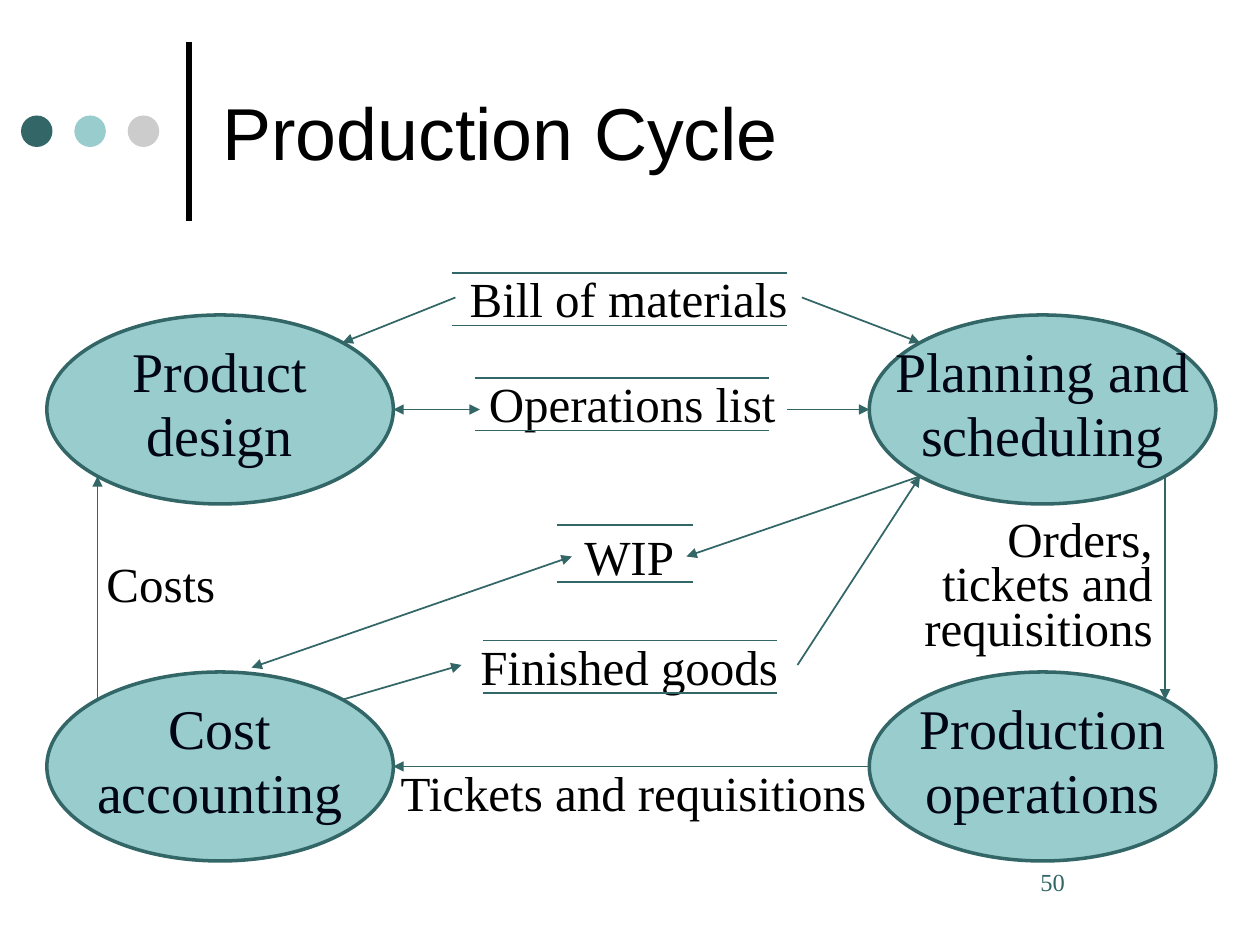
from math import sqrt

from lxml import etree
from pptx import Presentation
from pptx import util as u
from pptx.dml import color
from pptx.enum import shapes, text
from pptx.oxml import ns

DARK, LIGHT, GREY, BLACK, INK = "336666", "99CCCC", "CCCCCC", "000000", "000514"
SERIF, SANS = "Times New Roman", "Arial"
LEFT, CENTER, RIGHT = text.PP_ALIGN.LEFT, text.PP_ALIGN.CENTER, text.PP_ALIGN.RIGHT
MIDDLE, TOP = text.MSO_ANCHOR.MIDDLE, text.MSO_ANCHOR.TOP


def paint(color_format, hex_value):
    """Set a colour from a hex string."""
    color_format.rgb = color.RGBColor.from_string(hex_value)


def write(shape, words, size, hex_value=BLACK, font=SERIF, align=LEFT,
          anchor=TOP, wrap=True, spacing=None, before=None):
    """Fill a shape with text and format every run."""
    frame = shape.text_frame
    frame.text = words
    frame.word_wrap = wrap
    frame.vertical_anchor = anchor
    for paragraph in frame.paragraphs:
        paragraph.alignment = align
        if spacing:
            paragraph.line_spacing = spacing
        if before:
            paragraph.space_before = u.Pt(before)
        for run in paragraph.runs:
            run.font.size = u.Pt(size)
            run.font.name = font
            paint(run.font.color, hex_value)


def add_text(slide, box, words, size, **style):
    """Add a text box at the given box."""
    shape = slide.shapes.add_textbox(*map(u.Pt, box))
    write(shape, words, size, **style)
    return shape


def add_oval(slide, box, fill, line=None):
    """Add an ellipse, outlined when a line colour is given."""
    shape = slide.shapes.add_shape(shapes.MSO_SHAPE.OVAL, *map(u.Pt, box))
    shape.shadow.inherit = False
    shape.fill.solid()
    paint(shape.fill.fore_color, fill)
    if line:
        paint(shape.line.color, line)
        shape.line.width = u.Pt(2)
    else:
        shape.line.fill.background()
    return shape


def add_line(slide, start, end, hex_value=DARK, width=1, arrows=()):
    """Draw a straight line; arrows may hold 'headEnd' and 'tailEnd'."""
    line = slide.shapes.add_connector(
        shapes.MSO_CONNECTOR.STRAIGHT, *map(u.Pt, (*start, *end)))
    paint(line.line.color, hex_value)
    line.line.width = u.Pt(width)
    outline = line.line._get_or_add_ln()
    for arrow in arrows:
        etree.SubElement(outline, ns.qn("a:" + arrow), type="triangle")
    etree.SubElement(line._element.spPr, ns.qn("a:effectLst"))


def add_title(slide, box):
    """Place the three dots, the vertical rule and the title."""
    left, top, width, height = box
    for index, fill in enumerate((DARK, LIGHT, GREY)):
        add_oval(slide, (left + 30.5 * index, top + 51, 18, 18), fill)
    add_line(slide, (left + 96, top + 111), (left + 96, top + 9), BLACK, 3)
    add_text(slide, (left + 108, top, width - 108, height), "Production Cycle",
             42, font=SANS, anchor=MIDDLE)


def add_process(slide, box, words):
    """Place one process ellipse and return its outline points by name."""
    shape = add_oval(slide, box, LIGHT, DARK)
    write(shape, words, 32, INK, align=CENTER, anchor=MIDDLE, wrap=False,
          spacing=0.75, before=8)
    left, top, width, height = box
    middle_x, middle_y = left + width / 2, top + height / 2
    reach_x, reach_y = width / sqrt(8), height / sqrt(8)
    points = {"left": (left, middle_y), "right": (left + width, middle_y)}
    for vertical, sign_y in (("upper", -1), ("lower", 1)):
        for side, sign_x in (("left", -1), ("right", 1)):
            points[f"{vertical} {side}"] = (middle_x + sign_x * reach_x,
                                            middle_y + sign_y * reach_y)
    return points


def add_store(slide, box, words, label_left, label_width, label_rise):
    """Place a data store: a one-line label between two horizontal lines."""
    left, top, width, height = box
    label = add_text(slide, (label_left, top - label_rise, label_width, 40),
                     words, 28, align=CENTER)
    label.text_frame.margin_left = label.text_frame.margin_right = u.Pt(0)
    for y in (top, top + height):
        add_line(slide, (left, y), (left + width, y))


def add_diagram(slide, box):
    """Place the processes, data stores, flow labels and arrows."""
    left, top, width, height = box

    def at(x, y):
        """Turn an offset in the box into a slide position."""
        return left + x, top + y

    oval_width, oval_height = 198, 108
    far, low = width - oval_width, height - oval_height
    design, planning, accounting, operations = (
        add_process(slide, (*at(x, y), oval_width, oval_height), words)
        for x, y, words in ((0, 30, "Product\ndesign"),
                            (far, 30, "Planning and\nscheduling"),
                            (0, low, "Cost\naccounting"),
                            (far, low, "Production\noperations")))

    for x, y, store_width, store_height, words, label_x, label_width, rise in (
            (231.5, 6, 191.5, 30, "Bill of materials", 233.5, 198, 6),
            (244.5, 66, 168, 30, "Operations list", 244.5, 180, 6),
            (291.5, 150, 77.5, 32.5, "WIP", 300, 65.5, 2.5),
            (249.5, 216, 168, 30, "Finished goods", 237, 191.5, 6)):
        add_store(slide, (*at(x, y), store_width, store_height), words,
                  left + label_x, label_width, rise)

    for x, y, label_width, label_height, words, align, spacing in (
            (27, 163, 101.5, 40, "Costs", LEFT, None),
            (188.5, 282, 293.5, 40, "Tickets and requisitions", CENTER, None),
            (487, 145, 152, 83, "Orders,\ntickets and\nrequisitions", RIGHT, 0.75)):
        add_text(slide, (*at(x, y), label_width, label_height), words, 28,
                 align=align, spacing=spacing)

    one_way, two_way = ("tailEnd",), ("headEnd", "tailEnd")
    for start, end, arrows in (
            (planning["lower right"], operations["upper right"], one_way),
            (operations["left"], accounting["right"], one_way),
            (accounting["upper left"], design["lower left"], one_way),
            (at(431.5, 20), planning["upper left"], one_way),
            (at(233.5, 20), design["upper right"], one_way),
            (at(300, 168), at(117, 231.5), two_way),
            (planning["lower left"], at(365.5, 168), one_way),
            (accounting["upper right"], at(237, 230), one_way),
            (at(429, 230), planning["lower left"], one_way),
            (design["right"], at(247.5, 84), two_way),
            (at(423, 84), planning["left"], one_way)):
        add_line(slide, start, end, arrows=arrows)


def add_page_number(slide, box):
    """Place the slide number."""
    shape = add_text(slide, box, "50", 14, hex_value=DARK)
    shape.text_frame.margin_left = u.Pt(24.5)


def main():
    """Build and save the slide."""
    presentation = Presentation()
    presentation.slide_width, presentation.slide_height = u.Pt(720), u.Pt(540)
    slide = presentation.slides.add_slide(presentation.slide_layouts[6])
    add_title(slide, (12, 15, 660, 120))
    add_diagram(slide, (26.75, 150, 668, 342))
    add_page_number(slide, (570, 492, 102, 36))
    presentation.save("out.pptx")


main()
